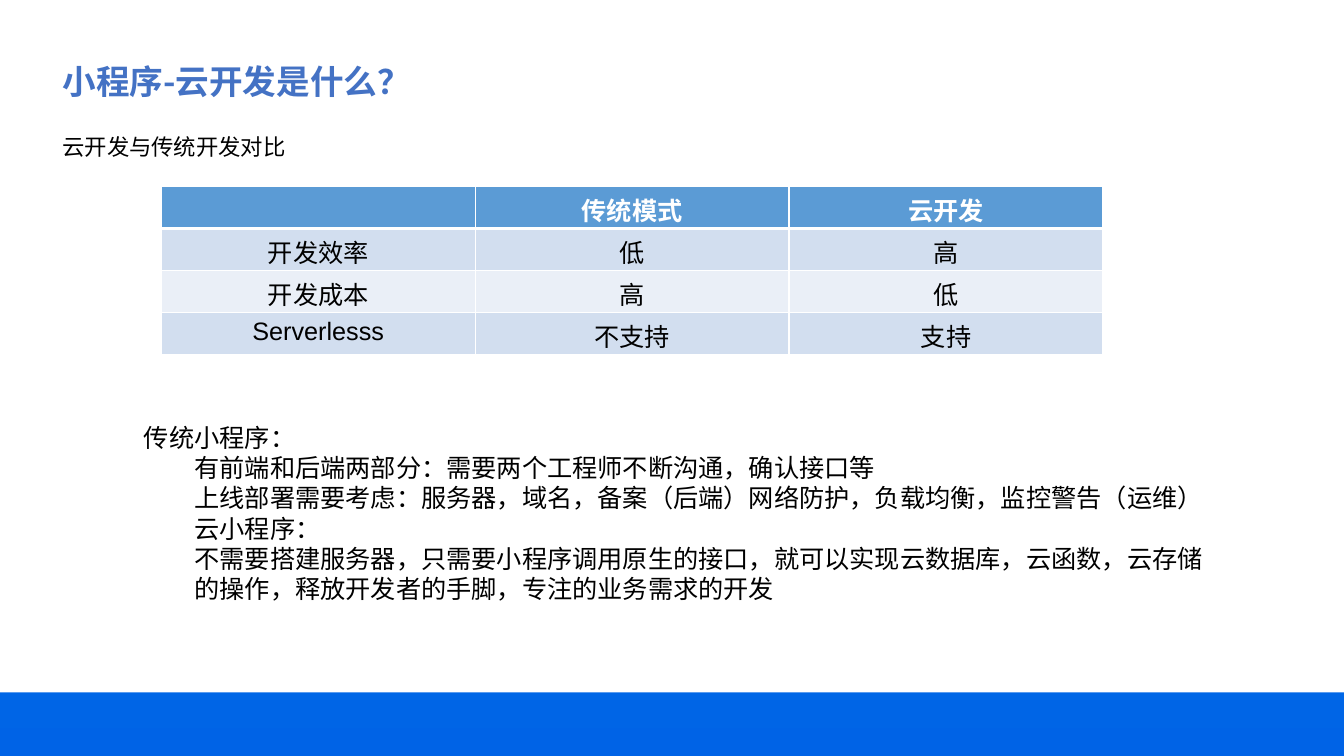
from lxml.etree import SubElement
from pptx import Presentation
from pptx.dml.color import RGBColor
from pptx.enum.shapes import MSO_SHAPE
from pptx.enum.text import MSO_ANCHOR, MSO_AUTO_SIZE, PP_ALIGN
from pptx.oxml.ns import qn
from pptx.util import Inches, Pt

TITLE_BLUE = RGBColor(0x44, 0x72, 0xC4)
BACKDROP_TOP = RGBColor(0x00, 0x99, 0xEE)
BACKDROP_FOOT = RGBColor(0x00, 0x63, 0xE6)
HEADER_BLUE = RGBColor(0x5B, 0x9B, 0xD5)
ROW_DARK = RGBColor(0xD2, 0xDE, 0xEF)
ROW_LIGHT = RGBColor(0xEA, 0xEF, 0xF7)
WHITE = RGBColor(0xFF, 0xFF, 0xFF)
BLACK = RGBColor(0x00, 0x00, 0x00)
HEADING_FONT = "Noto Sans CJK SC"
BODY_FONT = "Arial"

COMPARISON = [
    ("", "传统模式", "云开发"),
    ("开发效率", "低", "高"),
    ("开发成本", "高", "低"),
    ("Serverlesss", "不支持", "支持"),
]
EXPLANATION = [
    "传统小程序：",
    "有前端和后端两部分：需要两个工程师不断沟通，确认接口等",
    "上线部署需要考虑：服务器，域名，备案（后端）网络防护，负载均衡，监控警告（运维）",
    "云小程序：",
    "不需要搭建服务器，只需要小程序调用原生的接口，就可以实现云数据库，云函数，云存储的操作，释放开发者的手脚，专注的业务需求的开发",
]


def style_paragraph(paragraph, size, color, name=BODY_FONT, bold=False):
    """Set the font of a whole paragraph, with East Asian glyphs for headings."""
    font = paragraph.font
    font.size, font.name, font.bold = Pt(size), name, bold
    font.color.rgb = color
    if name == HEADING_FONT:
        properties = paragraph._p.pPr.find(qn("a:defRPr"))
        SubElement(properties, qn("a:ea"), typeface=name)


def add_panel(slide, left, top, width, height):
    """Add a plain rectangle without line or shadow and return it."""
    panel = slide.shapes.add_shape(
        MSO_SHAPE.RECTANGLE, Inches(left), Inches(top), Inches(width), Inches(height))
    panel.shadow.inherit = False
    panel.line.fill.background()
    return panel


def add_backdrop(slide, left, top, width, height, band_height):
    """Lay a white page over a blue gradient that shows as a band at the foot."""
    gradient = add_panel(slide, left, top, width, height).fill
    gradient.gradient()
    gradient.gradient_angle = 270
    for stop, color in zip(gradient.gradient_stops, (BACKDROP_TOP, BACKDROP_FOOT)):
        stop.color.rgb = color
    page = add_panel(slide, left, top, width, height - band_height)
    page.fill.solid()
    page.fill.fore_color.rgb = WHITE


def place_title(slide, left, top, width, height):
    """Move the title placeholder into its box, in front of the backdrop."""
    title = slide.shapes.title
    slide.shapes._spTree.append(title._element)
    title.left, title.top = Inches(left), Inches(top)
    title.width, title.height = Inches(width), Inches(height)
    title.text_frame.text = "小程序-云开发是什么？"
    title.text_frame.vertical_anchor = MSO_ANCHOR.MIDDLE
    heading = title.text_frame.paragraphs[0]
    heading.alignment = PP_ALIGN.LEFT
    heading.line_spacing = 0.9
    style_paragraph(heading, 24, TITLE_BLUE, HEADING_FONT, True)


def add_text_frame(slide, left, top, width, height):
    """Add a wrapping text box that grows with its text and return its frame."""
    box = slide.shapes.add_textbox(
        Inches(left), Inches(top), Inches(width), Inches(height))
    box.text_frame.word_wrap = True
    box.text_frame.auto_size = MSO_AUTO_SIZE.SHAPE_TO_FIT_TEXT
    return box.text_frame


def add_subtitle(slide, left, top, width, height):
    """Write the line under the title."""
    subtitle = add_text_frame(slide, left, top, width, height).paragraphs[0]
    subtitle.text = "云开发与传统开发对比"
    subtitle.line_spacing = 1.5
    style_paragraph(subtitle, 16, BLACK, HEADING_FONT)


def set_borders(cell, bottom_width):
    """Give a cell white borders, with its own width at the bottom."""
    properties = cell._tc.get_or_add_tcPr()
    widths = {"a:lnL": 1, "a:lnR": 1, "a:lnT": 1, "a:lnB": bottom_width}
    for index, (side, width) in enumerate(widths.items()):
        border = properties.makeelement(qn(side), {"w": str(Pt(width))})
        fill = SubElement(border, qn("a:solidFill"))
        SubElement(fill, qn("a:srgbClr"), val=str(WHITE))
        properties.insert(index, border)


def add_comparison(slide, left, top, width, height):
    """Build the table that sets traditional against cloud development."""
    table = slide.shapes.add_table(
        len(COMPARISON), len(COMPARISON[0]),
        Inches(left), Inches(top), Inches(width), Inches(height)).table
    for row, values in enumerate(COMPARISON):
        header = row == 0
        row_fill = HEADER_BLUE if header else ROW_DARK if row % 2 else ROW_LIGHT
        for column, value in enumerate(values):
            cell = table.cell(row, column)
            cell.text = value
            cell.fill.solid()
            cell.fill.fore_color.rgb = row_fill
            set_borders(cell, 3 if header else 1)
            entry = cell.text_frame.paragraphs[0]
            entry.alignment = PP_ALIGN.CENTER
            style_paragraph(entry, 18, WHITE if header else BLACK, bold=header)


def add_explanation(slide, left, top, width, height):
    """Write the explanation, indenting every line after the first."""
    frame = add_text_frame(slide, left, top, width, height)
    frame.text = "\n".join(EXPLANATION)
    for index, line in enumerate(frame.paragraphs):
        style_paragraph(line, 18, BLACK)
        if index:
            line.level = 1
            line._p.pPr.set("marL", str(Inches(0.5)))
            line._p.pPr.set("indent", "0")


def main():
    """Build the slide and save it."""
    presentation = Presentation()
    presentation.slide_width = Inches(13.33)
    presentation.slide_height = Inches(7.5)
    slide = presentation.slides.add_slide(presentation.slide_layouts[5])
    add_backdrop(slide, 0, 0, 13.33, 7.5, 0.63)
    place_title(slide, 0.52, 0.52, 11.5, 0.62)
    add_subtitle(slide, 0.52, 1.14, 12.29, 0.5)
    add_comparison(slide, 1.6, 1.85, 9.34, 1.67)
    add_explanation(slide, 1.33, 4.14, 10.9, 1.92)
    presentation.save("out.pptx")


if __name__ == "__main__":
    main()
